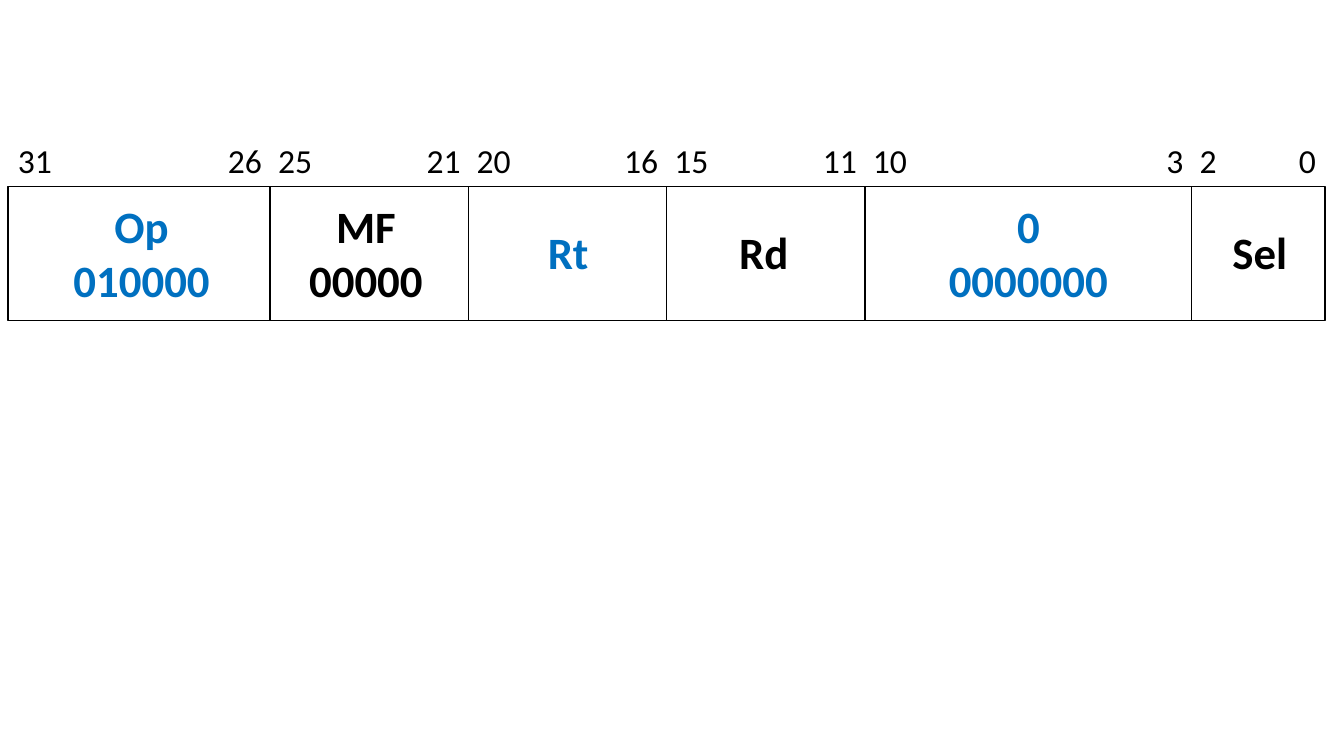
from typing import NamedTuple

from lxml.etree import SubElement
from pptx import Presentation
from pptx.dml.color import RGBColor
from pptx.enum.shapes import MSO_SHAPE
from pptx.enum.text import MSO_AUTO_SIZE, PP_ALIGN
from pptx.oxml.ns import qn
from pptx.util import Inches, Pt

BLACK, BLUE = "000000", "0070C0"
TOP, HEIGHT = 1.85, 1.33
INSET, GAP = 0.1, 0.08


class Field(NamedTuple):
    """A bit field: its cell, bit range and centred label."""

    left: float
    right: float
    high: int
    low: int
    label: str
    label_left: float
    label_width: float
    color: str


FIELDS = [
    Field(0.08, 2.68, 31, 26, "Op\n010000", 0.62, 1.57, BLUE),
    Field(2.68, 4.65, 25, 21, "MF\n00000", 2.96, 1.34, BLACK),
    Field(4.65, 6.61, 20, 16, "Rt", 5.33, 0.61, BLUE),
    Field(6.61, 8.58, 15, 11, "Rd", 7.23, 0.69, BLACK),
    Field(8.58, 11.82, 10, 3, "0\n0000000", 9.3, 1.8, BLUE),
    Field(11.82, 13.14, 2, 0, "Sel", 12.12, 0.75, BLACK),
]


def rgb(color: str) -> RGBColor:
    """Turn a hex string into a colour."""
    return RGBColor.from_string(color)


def add_text(s, text: str, left: float, top: float, width: float, height: float, *,
             size: int, color: str = BLACK, bold: bool = False,
             align=PP_ALIGN.LEFT, wrap: bool = False):
    """Add a text box with one paragraph per line of text."""
    sp = s.shapes.add_textbox(Inches(left), Inches(top), Inches(width), Inches(height))
    tf = sp.text_frame
    tf.word_wrap = wrap
    tf.auto_size = MSO_AUTO_SIZE.SHAPE_TO_FIT_TEXT
    for i, line in enumerate(text.split("\n")):
        p = tf.add_paragraph() if i else tf.paragraphs[0]
        p.alignment = align
        r = p.add_run()
        r.text = line
        r.font.name, r.font.size, r.font.bold = "Calibri", Pt(size), bold
        r.font.color.rgb = rgb(color)
    return sp


def add_cell(s, field: Field) -> None:
    """Draw the outline of a field."""
    sp = s.shapes.add_shape(MSO_SHAPE.RECTANGLE, Inches(field.left), Inches(TOP),
                            Inches(field.right - field.left), Inches(HEIGHT))
    sp.shadow.inherit = False
    sp.fill.background()
    sp.line.color.rgb = rgb(BLACK)
    sp.line.width = Pt(1)


def add_label(s, field: Field) -> None:
    """Write the name and value of a field."""
    two_lines = "\n" in field.label
    top, height = (1.92, 1.18) if two_lines else (2.18, 0.64)
    add_text(s, field.label, field.label_left, top, field.label_width, height,
             size=32, color=field.color, bold=True, align=PP_ALIGN.CENTER)


def add_bit_numbers(s, fields: list[Field]) -> None:
    """Write the bit numbers in one line, set by tab stops at the cell edges."""
    left = fields[0].left
    text = "\t".join(f"{f.high}\t{f.low}" for f in fields)
    sp = add_text(s, text, left, 1.34, 13.07, 0.5, size=24, wrap=True)
    stops = [stop for f in fields
             for stop in ((f.left + GAP, "l"), (f.right - GAP, "r"))][1:]
    p = sp.text_frame.paragraphs[0]
    tabs = SubElement(p._p.get_or_add_pPr(), qn("a:tabLst"))
    for x, align in stops:
        SubElement(tabs, qn("a:tab"), pos=str(Inches(x - left - INSET)), algn=align)


def main() -> None:
    """Build the instruction format slide."""
    prs = Presentation()
    prs.slide_width, prs.slide_height = Inches(13.33), Inches(7.5)
    s = prs.slides.add_slide(prs.slide_layouts[6])
    for field in FIELDS:
        add_cell(s, field)
    for field in FIELDS:
        add_label(s, field)
    add_bit_numbers(s, FIELDS)
    prs.save("out.pptx")


main()
